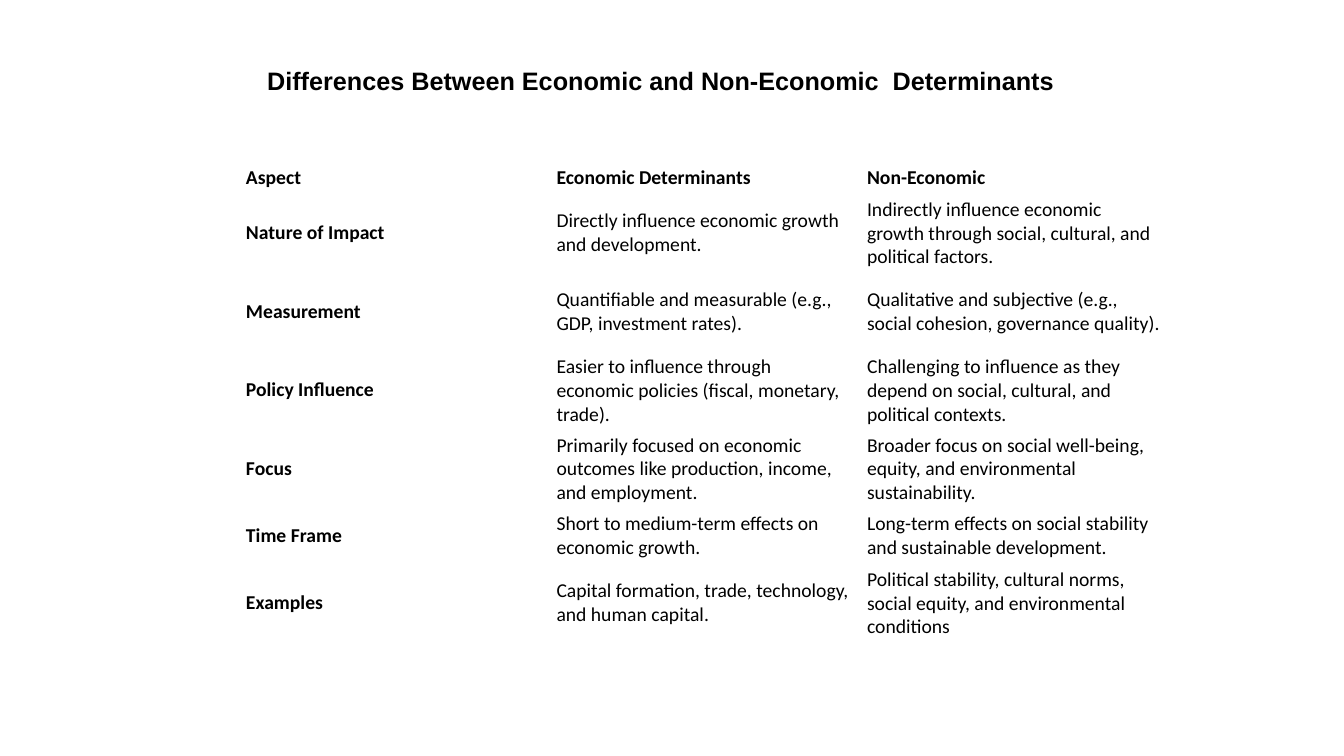
from pptx import Presentation
from pptx.dml.color import RGBColor
from pptx.enum.text import MSO_ANCHOR as Anchor, MSO_AUTO_SIZE as AutoSize, PP_ALIGN as Align
from pptx.util import Inches, Pt

TITLE = "Differences Between Economic and Non-Economic  Determinants"
COMPARISON = [
    ("Aspect", "Economic Determinants", "Non-Economic"),
    ("Nature of Impact",
     "Directly influence economic growth and development.",
     "Indirectly influence economic growth through social, cultural, and political factors."),
    ("Measurement",
     "Quantifiable and measurable (e.g., GDP, investment rates).",
     "Qualitative and subjective (e.g., social cohesion, governance quality)."),
    ("Policy Influence",
     "Easier to influence through economic policies (fiscal, monetary, trade).",
     "Challenging to influence as they depend on social, cultural, and political contexts."),
    ("Focus",
     "Primarily focused on economic outcomes like production, income, and employment.",
     "Broader focus on social well-being, equity, and environmental sustainability."),
    ("Time Frame",
     "Short to medium-term effects on economic growth.",
     "Long-term effects on social stability and sustainable development."),
    ("Examples",
     "Capital formation, trade, technology, and human capital.",
     "Political stability, cultural norms, social equity, and environmental conditions"),
]
TALL_ROW, SHORT_ROW = 0.78, 0.55
ROW_HEIGHTS = [SHORT_ROW if row[0] == "Time Frame" else TALL_ROW for row in COMPARISON]
COLUMN_WIDTH = 3.08
TABLE_LEFT, TABLE_TOP = 2.36, 1.14
INSET_X, INSET_Y = 0.08, 0.04
TEXT_COLOR = "000000"


def color(hex_string):
    return RGBColor.from_string(hex_string)


def format_runs(text_frame, font_name, size, bold):
    for paragraph in text_frame.paragraphs:
        paragraph.alignment = Align.LEFT
        for run in paragraph.runs:
            run.font.name = font_name
            run.font.size = Pt(size)
            run.font.bold = bold
            run.font.color.rgb = color(TEXT_COLOR)


def add_title(slide):
    title = slide.shapes.title
    title.left, title.top, title.width, title.height = map(Inches, (2.55, 0.6, 8.43, 0.4))
    text_frame = title.text_frame
    text_frame.text = TITLE
    text_frame.word_wrap = True
    text_frame.auto_size = AutoSize.SHAPE_TO_FIT_TEXT
    text_frame.vertical_anchor = Anchor.TOP
    format_runs(text_frame, "Arial", 18, True)


def fill_cell(cell, text, is_header, is_label):
    cell.fill.background()
    cell.margin_left = cell.margin_right = Inches(INSET_X)
    cell.margin_top = cell.margin_bottom = Inches(INSET_Y)
    cell.vertical_anchor = Anchor.BOTTOM if is_header else Anchor.MIDDLE
    cell.text_frame.text = text
    format_runs(cell.text_frame, "Calibri", 14, is_header or is_label)


def add_comparison(slide):
    column_count = len(COMPARISON[0])
    bounds = (TABLE_LEFT, TABLE_TOP, COLUMN_WIDTH * column_count, sum(ROW_HEIGHTS))
    table = slide.shapes.add_table(len(COMPARISON), column_count, *map(Inches, bounds)).table
    table.first_row = table.horz_banding = False
    for column in table.columns:
        column.width = Inches(COLUMN_WIDTH)
    for row_index, (texts, height) in enumerate(zip(COMPARISON, ROW_HEIGHTS)):
        table.rows[row_index].height = Inches(height)
        for column_index, text in enumerate(texts):
            fill_cell(table.cell(row_index, column_index), text, row_index == 0, column_index == 0)


def main():
    presentation = Presentation()
    presentation.slide_width, presentation.slide_height = Inches(13.33), Inches(7.5)
    slide = presentation.slides.add_slide(presentation.slide_layouts.get_by_name("Title Only"))
    add_title(slide)
    add_comparison(slide)
    presentation.save("out.pptx")


if __name__ == "__main__":
    main()
